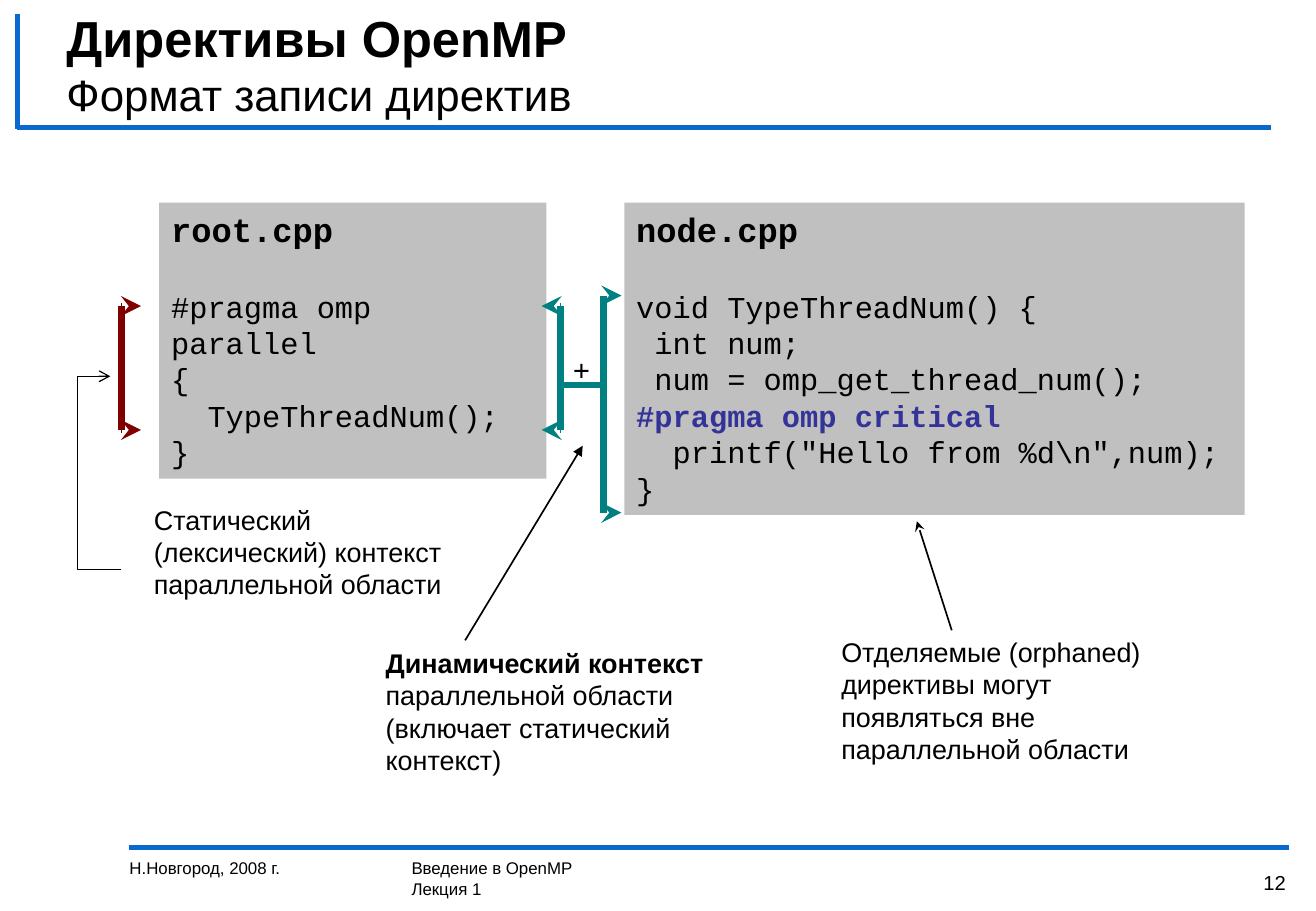
import pptx
import pptx.dml.color
import pptx.enum.shapes
import pptx.enum.text
import pptx.oxml
import pptx.oxml.ns
import pptx.util

Cm = pptx.util.Cm
Align = pptx.enum.text.PP_ALIGN
Anchor = pptx.enum.text.MSO_ANCHOR
Connector = pptx.enum.shapes.MSO_CONNECTOR

COLORS = {
    "text": "000000",
    "rule": "0969CD",
    "code": "C0C0C0",
    "directive": "333399",
    "static": "800000",
    "dynamic": "008080",
}
NOTE = {"name": "Arial", "size": 16, "bold": False}
FOOTER = {"name": "Arial", "size": 10, "bold": False}
CODE = {"name": "Courier New", "size": 18, "bold": False}
FILE_NAME = {**CODE, "size": 20, "bold": True}
DIRECTIVE = {**CODE, "bold": True, "color": "directive"}


class SlideBuilder:
    def __init__(self, presentation):
        self.slide = presentation.slides.add_slide(presentation.slide_layouts[5])
        self.shapes = self.slide.shapes

    def color(self, name):
        return pptx.dml.color.RGBColor.from_string(COLORS[name])

    def add_run(self, paragraph, text, style):
        run = paragraph.add_run()
        run.text = text
        values = {**style, "size": pptx.util.Pt(style["size"])}
        run.font.color.rgb = self.color(values.pop("color", "text"))
        for attribute, value in values.items():
            setattr(run.font, attribute, value)

    def fill_text(self, shape, paragraphs, wrap=True, anchor=Anchor.TOP, **formats):
        """Each paragraph is a list of (text, style) runs."""
        frame = shape.text_frame
        settings = {
            "word_wrap": wrap,
            "vertical_anchor": anchor,
            "auto_size": pptx.enum.text.MSO_AUTO_SIZE.NONE,
            "margin_left": Cm(0.25),
            "margin_right": Cm(0.25),
            "margin_top": Cm(0.13),
            "margin_bottom": Cm(0.13),
        }
        for attribute, value in settings.items():
            setattr(frame, attribute, value)
        for index, runs in enumerate(paragraphs):
            paragraph = frame.add_paragraph() if index else frame.paragraphs[0]
            for attribute, value in {"alignment": Align.LEFT, **formats}.items():
                setattr(paragraph, attribute, value)
            for text, style in runs:
                self.add_run(paragraph, text, style)

    def title(self, heading, subheading, box):
        title = self.shapes.title
        title.left, title.top, title.width, title.height = map(Cm, box)
        style = {"name": "Arial", "size": 30, "bold": True}
        self.fill_text(title, [[(heading, style)]], anchor=Anchor.MIDDLE)
        paragraph = title.text_frame.paragraphs[0]
        paragraph.add_line_break()
        self.add_run(paragraph, subheading, {**style, "size": 26, "bold": False})

    def text(self, box, paragraphs, **formats):
        self.fill_text(self.shapes.add_textbox(*map(Cm, box)), paragraphs, **formats)

    def code(self, box, file_name, lines):
        rectangle = pptx.enum.shapes.MSO_SHAPE.RECTANGLE
        shape = self.shapes.add_shape(rectangle, *map(Cm, box))
        shape.shadow.inherit = False
        shape.fill.solid()
        shape.fill.fore_color.rgb = self.color("code")
        shape.line.fill.background()
        listing = [[(line, DIRECTIVE if "critical" in line else CODE)] for line in lines]
        self.fill_text(shape, [[(file_name, FILE_NAME)]] + listing)
        # The gap under the file name is one line of its size
        shape.text_frame.paragraphs[1].space_before = pptx.util.Pt(22.7)

    def line(self, start, end, color="text", width=1, head=None, kind=Connector.STRAIGHT):
        line = self.shapes.add_connector(kind, *map(Cm, start + end))
        line.line.color.rgb = self.color(color)
        line.line.width = pptx.util.Pt(width)
        if head:
            tail_end = pptx.oxml.parse_xml(
                f'<a:tailEnd {pptx.oxml.ns.nsdecls("a")} type="{head}"/>')
            line.line._get_or_add_ln().append(tail_end)
        line._element.spPr.append(pptx.oxml.parse_xml(
            f'<a:effectLst {pptx.oxml.ns.nsdecls("a")}/>'))
        return line

    def elbow(self, start, end, bend, **style):
        """Elbow arrow; bend is the middle leg's place as a share of the width."""
        line = self.line(start, end, kind=Connector.ELBOW, **style)
        geometry = line._element.spPr.find(pptx.oxml.ns.qn("a:prstGeom"))
        for values in geometry.findall(pptx.oxml.ns.qn("a:avLst")):
            geometry.remove(values)
        geometry.append(pptx.oxml.parse_xml(
            f'<a:avLst {pptx.oxml.ns.nsdecls("a")}>'
            f'<a:gd name="adj1" fmla="val {round(bend * 100000)}"/></a:avLst>'))

    def bracket(self, x, tip, top, bottom, color):
        self.line((x, top), (x, bottom), color, 4)
        for y in (top, bottom):
            self.line((x, y), (tip, y), color, 4, "stealth")


def main():
    presentation = pptx.Presentation()
    presentation.slide_width = Cm(27.53)
    presentation.slide_height = Cm(19.05)
    builder = SlideBuilder(presentation)

    # Frame rules and title
    for start, end in (
        ((2.69, 17.73), (26.97, 17.73)),
        ((0.36, 2.67), (26.59, 2.67)),
        ((0.37, 0.3), (0.37, 2.7)),
    ):
        builder.line(start, end, "rule", 3)
    builder.title("Директивы OpenMP", "Формат записи директив", (1.14, 0.56, 25.22, 1.55))

    # Footer
    builder.text((2.46, 17.81, 5.69, 1.24), [[("Н.Новгород, 2008 г.", FOOTER)]])
    builder.text((8.36, 17.81, 16, 1.24),
                 [[("Введение в OpenMP", FOOTER)], [("Лекция 1", FOOTER)]])
    builder.text((24.56, 17.81, 2.59, 1.24), [[("12", {**FOOTER, "size": 12})]],
                 alignment=Align.RIGHT, line_spacing=1.5)

    # Source files
    builder.code((3.33, 4.24, 8.1, 5.77), "root.cpp",
                 ["#pragma omp parallel", "{", "  TypeThreadNum();", "}"])
    builder.code((13.06, 4.24, 12.98, 6.53), "node.cpp", [
        "void TypeThreadNum() {",
        " int num;",
        " num = omp_get_thread_num();",
        "#pragma omp critical",
        '  printf("Hello from %d\\n",num);',
        "}",
    ])

    # Brackets: static context, then the two parts of the dynamic one
    builder.bracket(2.54, 2.95, 6.4, 8.99, "static")
    builder.bracket(11.73, 11.33, 6.4, 8.99, "dynamic")
    builder.bracket(12.63, 13, 6.18, 10.72, "dynamic")
    builder.line((11.76, 8.05), (12.6, 8.05), "dynamic", 4)
    plus = {"name": "Times New Roman", "size": 18, "bold": True, "italic": True}
    builder.text((11.73, 7.21, 0.86, 1.02), [[("+", plus)]],
                 wrap=False, anchor=Anchor.MIDDLE, alignment=Align.CENTER)

    # Notes and their arrows
    builder.text((2.97, 10.39, 6.99, 2.29),
                 [[("Статический (лексический) контекст параллельной области", NOTE)]])
    builder.text((7.82, 13.39, 7.19, 2.97), [[
        ("Динамический контекст ", {**NOTE, "bold": True}),
        ("параллельной области (включает статический контекст)", NOTE),
    ]])
    builder.text((17.35, 13.16, 7.82, 2.97), [[
        ("Отделяемые (orphaned) директивы могут появляться вне параллельной области", NOTE),
    ]])
    builder.elbow((2.54, 11.91), (2.31, 7.87), 4, width=0.75, head="arrow")
    builder.line((9.73, 13.39), (12.19, 9.32), head="triangle")
    builder.line((19.91, 13.18), (19.18, 10.9), head="stealth")

    presentation.save("out.pptx")


if __name__ == "__main__":
    main()
